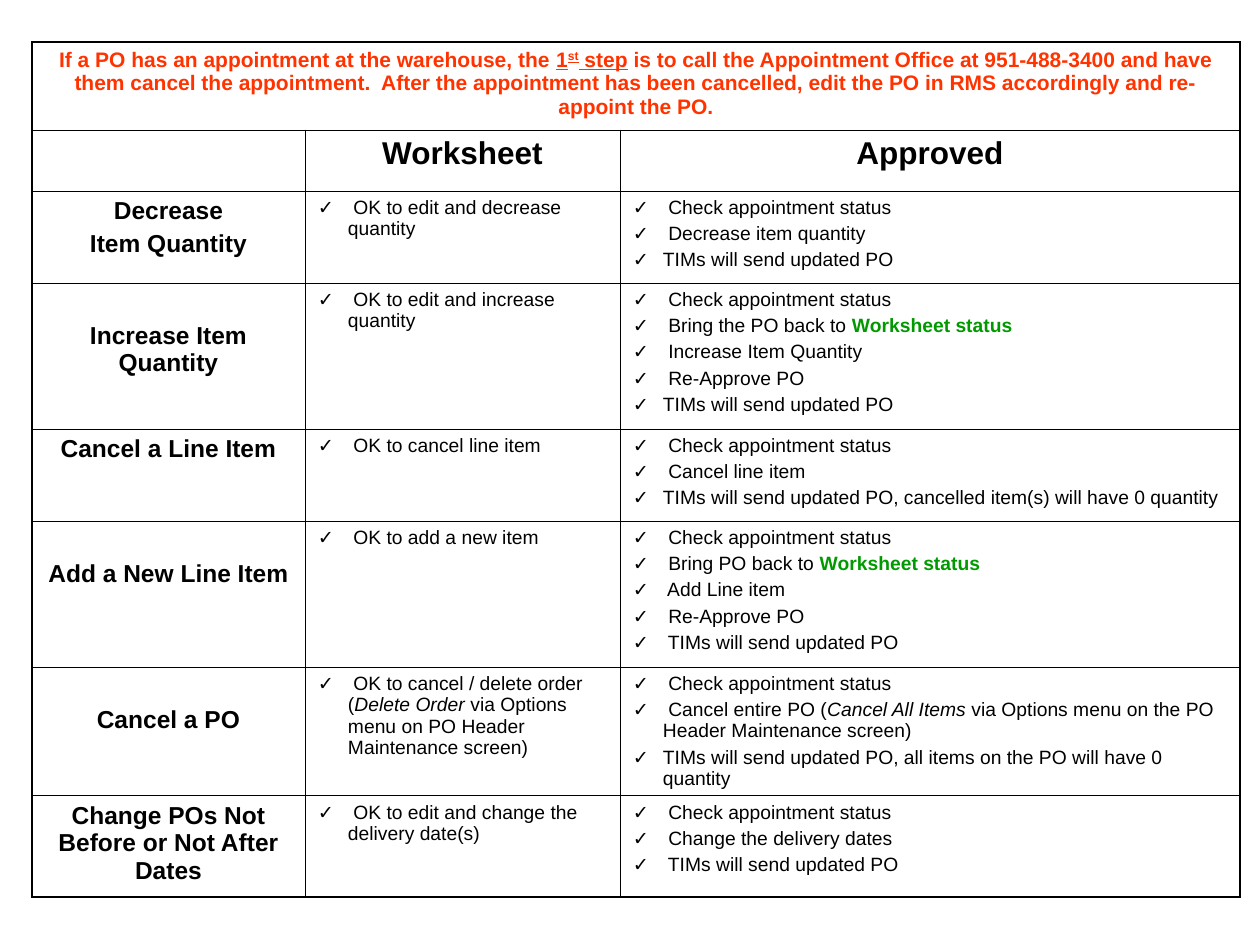
from dataclasses import dataclass

from lxml import etree
from pptx import Presentation
from pptx.dml.color import RGBColor
from pptx.enum.text import PP_ALIGN
from pptx.oxml.ns import qn
from pptx.table import _Cell
from pptx.util import Pt

CENTER, LEFT = PP_ALIGN.CENTER, PP_ALIGN.LEFT
BLACK = RGBColor(0x00, 0x00, 0x00)
RED = RGBColor(0xFF, 0x33, 0x00)
GREEN = RGBColor(0x00, 0x99, 0x00)
FONT = "Arial"
EMU_PER_PX = 914400 // 126

TABLE_LEFT, TABLE_TOP = 32, 42
COLUMN_WIDTHS = [273, 315, 620]
ROW_HEIGHTS = [88, 61, 92, 146, 92, 146, 115, 101]
MARGIN_X, MARGIN_Y = 13, 6
LOWERED = 39  # top margin of labels that start one line down
HANGING = 30
THICK, THIN = Pt(1.08), Pt(0.45)


@dataclass(frozen=True)
class Span:
    text: str
    color: RGBColor = BLACK
    bold: bool = False
    italic: bool = False
    underline: bool = False
    raised: bool = False


Para = list[Span]


@dataclass(frozen=True)
class Task:
    label: list[str]
    worksheet: Para
    approved: list[Para]
    label_top: int = MARGIN_Y


def px(length: int) -> int:
    return length * EMU_PER_PX


def plain(text: str) -> Para:
    return [Span(text)]


def heading(text: str) -> Para:
    return [Span(text, bold=True)]


CHECK = plain(" Check appointment status")
REAPPROVE = plain(" Re-Approve PO")
SEND = plain("TIMs will send updated PO")
SEND_SPACED = plain(" TIMs will send updated PO")
WORKSHEET_STATUS = Span("Worksheet status", color=GREEN, bold=True)

NOTICE = [
    Span("If a PO has an appointment at the warehouse, the ", RED, True),
    Span("1", RED, True, underline=True),
    Span("st", RED, True, underline=True, raised=True),
    Span(" step", RED, True, underline=True),
    Span(" is to call the Appointment Office at 951-488-3400 and have them cancel "
         "the appointment.  After the appointment has been cancelled, edit the PO "
         "in RMS accordingly and re-appoint the PO.", RED, True),
]

TASKS = [
    Task(["Decrease", "Item Quantity"],
         plain(" OK to edit and decrease quantity"),
         [CHECK, plain(" Decrease item quantity"), SEND]),
    Task(["Increase Item Quantity"],
         plain(" OK to edit and increase quantity"),
         [CHECK, [Span(" Bring the PO back to "), WORKSHEET_STATUS],
          plain(" Increase Item Quantity"), REAPPROVE, SEND], LOWERED),
    Task(["Cancel a Line Item"],
         plain(" OK to cancel line item"),
         [CHECK, plain(" Cancel line item"),
          plain("TIMs will send updated PO, cancelled item(s) will have 0 quantity")]),
    Task(["Add a New Line Item"],
         plain(" OK to add a new item"),
         [CHECK, [Span(" Bring PO back to "), WORKSHEET_STATUS],
          plain(" Add Line item"), REAPPROVE, SEND_SPACED], LOWERED),
    Task(["Cancel a PO"],
         [Span(" OK to cancel / delete order ("), Span("Delete Order", italic=True),
          Span(" via Options menu on PO Header Maintenance screen)")],
         [CHECK,
          [Span(" Cancel entire PO ("), Span("Cancel All Items", italic=True),
           Span(" via Options menu on the PO Header Maintenance screen)")],
          plain("TIMs will send updated PO, all items on the PO will have 0 quantity")],
         LOWERED),
    Task(["Change POs Not Before or Not After Dates"],
         plain(" OK to edit and change the delivery date(s)"),
         [CHECK, plain(" Change the delivery dates"), SEND_SPACED]),
]


def add_check_mark(para) -> None:
    properties = para._p.get_or_add_pPr()
    properties.set("marL", str(px(HANGING)))
    properties.set("indent", str(-px(HANGING)))
    color = etree.SubElement(properties, qn("a:buClr"))
    etree.SubElement(color, qn("a:srgbClr"), val=str(BLACK))
    etree.SubElement(properties, qn("a:buFont"), typeface=FONT)
    etree.SubElement(properties, qn("a:buChar"), char="✓")


def write(cell: _Cell, paras: list[Para], *, size: int, align=CENTER,
          gap: float = 0, checked: bool = False, top: int = MARGIN_Y) -> None:
    cell.margin_top = px(top)
    for index, spans in enumerate(paras):
        frame = cell.text_frame
        para = frame.add_paragraph() if index else frame.paragraphs[0]
        para.alignment = align
        if index:
            para.space_before = Pt(gap)
        if checked:
            add_check_mark(para)
        for span in spans:
            run = para.add_run()
            run.text = span.text
            font = run.font
            font.name, font.size = FONT, Pt(size)
            font.bold, font.italic = span.bold, span.italic
            font.underline = span.underline
            font.color.rgb = span.color
            if span.raised:
                font._element.set("baseline", "30000")


def add_borders(cell: _Cell, outer: dict[str, bool]) -> None:
    properties = cell._tc.get_or_add_tcPr()
    for position, (side, is_outer) in enumerate(outer.items()):
        width = THICK if is_outer else THIN
        line = etree.Element(qn(f"a:ln{side}"), w=str(width))
        fill = etree.SubElement(line, qn("a:solidFill"))
        etree.SubElement(fill, qn("a:srgbClr"), val=str(BLACK))
        properties.insert(position, line)


# Deck and page
deck = Presentation()
deck.slide_width, deck.slide_height = px(1260), px(945)
page = deck.slides.add_slide(deck.slide_layouts[6])

# Table grid
row_count, column_count = len(ROW_HEIGHTS), len(COLUMN_WIDTHS)
table = page.shapes.add_table(
    row_count, column_count, px(TABLE_LEFT), px(TABLE_TOP),
    px(sum(COLUMN_WIDTHS)), px(sum(ROW_HEIGHTS))).table
table.first_row = table.horz_banding = False
for column, width in zip(table.columns, COLUMN_WIDTHS):
    column.width = px(width)
for row, height in zip(table.rows, ROW_HEIGHTS):
    row.height = px(height)
for r in range(row_count):
    for c in range(column_count):
        cell = table.cell(r, c)
        cell.fill.background()
        cell.margin_left = cell.margin_right = px(MARGIN_X)
        cell.margin_top = cell.margin_bottom = px(MARGIN_Y)
        add_borders(cell, {"L": c == 0, "R": c == column_count - 1 or r == 0,
                           "T": r == 0, "B": r == row_count - 1})

# Notice and column headings
table.cell(0, 0).merge(table.cell(0, column_count - 1))
write(table.cell(0, 0), [NOTICE], size=12)
for c, title in enumerate(["Worksheet", "Approved"], start=1):
    write(table.cell(1, c), [heading(title)], size=18)

# Task rows
for r, task in enumerate(TASKS, start=2):
    write(table.cell(r, 0), [heading(text) for text in task.label],
          size=14, gap=3.5, top=task.label_top)
    for c, steps in enumerate([[task.worksheet], task.approved], start=1):
        write(table.cell(r, c), steps, size=11, align=LEFT, gap=2.8, checked=True)

deck.save("out.pptx")
